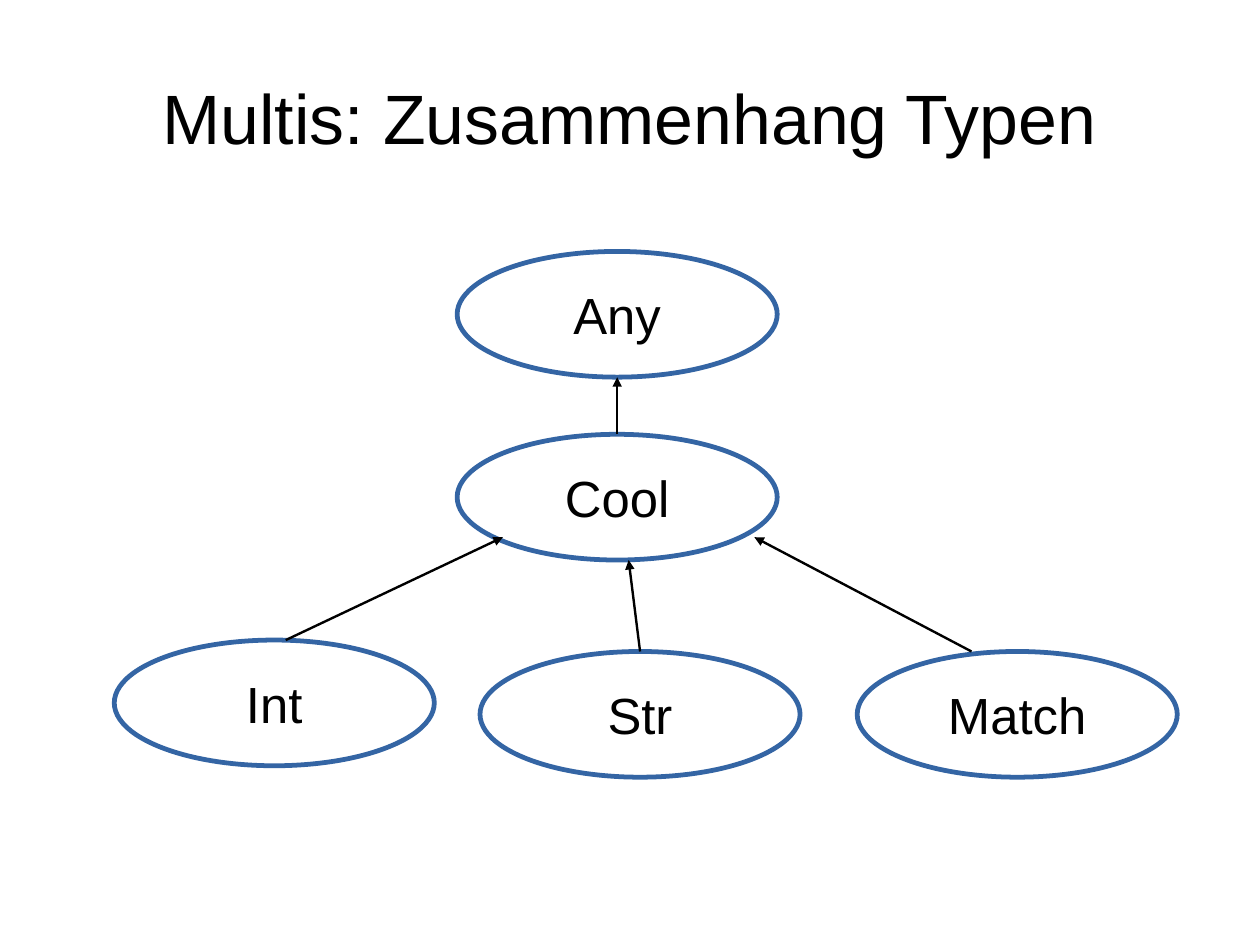
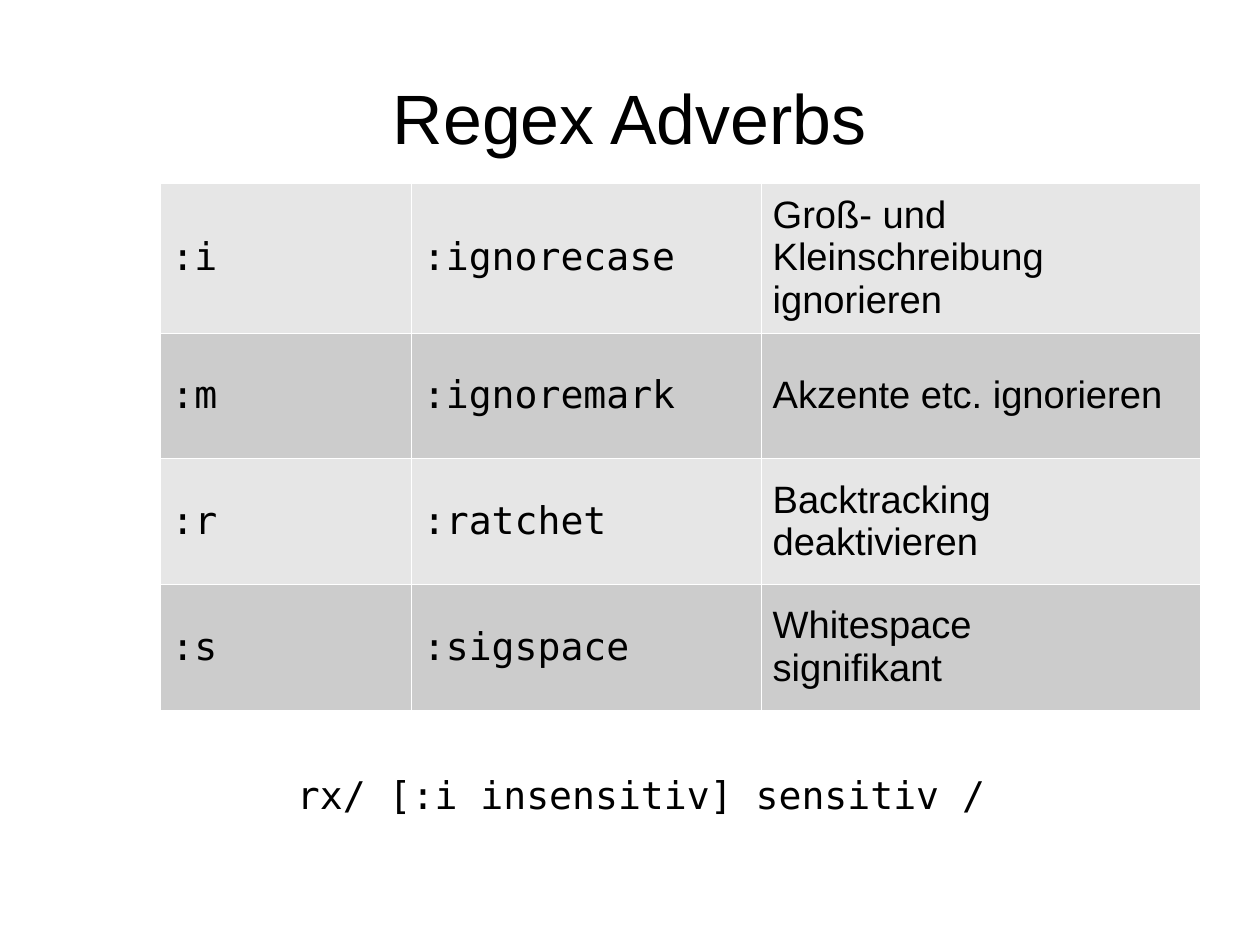
"""Build two slides: a type hierarchy and a table of regex adverbs."""
from pptx import Presentation
from pptx.dml import color
from pptx.enum import shapes, text
from pptx.oxml import parse_xml
from pptx.oxml import ns
from pptx.util import Inches, Pt


class Theme:
    ink = color.RGBColor(0x00, 0x00, 0x00)
    paper = color.RGBColor(0xFF, 0xFF, 0xFF)
    outline = color.RGBColor(0x34, 0x65, 0xA4)
    bands = (color.RGBColor(0xE6, 0xE6, 0xE6), color.RGBColor(0xCC, 0xCC, 0xCC))
    sans, mono = "Arial", "DejaVu Sans Mono"
    title_size, node_size, body_size = Pt(44), Pt(32), Pt(24)
    outline_width, arrow_width, border_width = Pt(3), Pt(1.5), Pt(0.06)


def write(frame, lines, size, face=Theme.sans, align=text.PP_ALIGN.LEFT):
    frame.text = lines
    for para in frame.paragraphs:
        para.alignment = align
        para.font.size, para.font.name = size, face
        para.font.color.rgb = Theme.ink


def add_page(title):
    page = deck.slides.add_slide(deck.slide_layouts[6])
    box = page.shapes.add_textbox(Inches(0.55), Inches(0.33), Inches(9.92), Inches(1.38))
    frame = box.text_frame
    frame.word_wrap = True
    frame.vertical_anchor = text.MSO_ANCHOR.MIDDLE
    frame.margin_left = frame.margin_right = frame.margin_top = frame.margin_bottom = 0
    write(frame, title, Theme.title_size, align=text.PP_ALIGN.CENTER)
    return page


deck = Presentation()
deck.slide_width = Inches(28 / 2.54)
deck.slide_height = Inches(21 / 2.54)

page = add_page("Multis: Zusammenhang Typen")
types = {"Any": (4, 2.2), "Cool": (4, 3.8), "Int": (1, 5.6), "Str": (4.2, 5.7), "Match": (7.5, 5.7)}
for name, (left, top) in types.items():
    node = page.shapes.add_shape(
        shapes.MSO_SHAPE.OVAL, Inches(left), Inches(top), Inches(2.8), Inches(1.1))
    node.shadow.inherit = False
    node.fill.solid()
    node.fill.fore_color.rgb = Theme.paper
    node.line.color.rgb = Theme.outline
    node.line.width = Theme.outline_width
    frame = node.text_frame
    frame.word_wrap = False
    frame.vertical_anchor = text.MSO_ANCHOR.MIDDLE
    frame.margin_left = frame.margin_right = Inches(0.12)
    frame.margin_top = frame.margin_bottom = Inches(0.07)
    write(frame, name, Theme.node_size, align=text.PP_ALIGN.CENTER)

arrows = [(5.4, 3.8, 5.4, 3.3), (2.5, 5.6, 4.4, 4.7), (5.6, 5.7, 5.5, 4.9), (8.5, 5.7, 6.6, 4.7)]
for ends in arrows:
    arrow = page.shapes.add_connector(shapes.MSO_CONNECTOR.STRAIGHT, *map(Inches, ends))
    arrow.line.color.rgb = Theme.ink
    arrow.line.width = Theme.arrow_width
    arrow.line._get_or_add_ln().append(
        parse_xml(f'<a:tailEnd {ns.nsdecls("a")} type="triangle"/>'))
    arrow._element.spPr.append(parse_xml(f'<a:effectLst {ns.nsdecls("a")}/>'))

page = add_page("Regex Adverbs")
adverbs = [
    (":i", ":ignorecase", "Groß- und Kleinschreibung ignorieren"),
    (":m", ":ignoremark", "Akzente etc. ignorieren"),
    (":r", ":ratchet", "Backtracking deaktivieren"),
    (":s", ":sigspace", "Whitespace\nsignifikant"),
]
table = page.shapes.add_table(
    len(adverbs), 3, Inches(1.4), Inches(1.6), Inches(9.1), Inches(4.6)).table
table.first_row = table.horz_banding = False
for column, width in zip(table.columns, (2.2, 3.06, 3.84)):
    column.width = Inches(width)
for index, adverb in enumerate(adverbs):
    table.rows[index].height = Inches(1.1 if index else 1.31)
    for cell, words, face in zip(
            table.rows[index].cells, adverb, (Theme.mono, Theme.mono, Theme.sans)):
        write(cell.text_frame, words, Theme.body_size, face)
        cell.vertical_anchor = text.MSO_ANCHOR.MIDDLE
        for side in ("lnL", "lnR", "lnT", "lnB"):
            cell._tc.get_or_add_tcPr().append(parse_xml(
                f'<a:{side} {ns.nsdecls("a")} w="{Theme.border_width}"><a:solidFill>'
                f'<a:srgbClr val="{Theme.paper}"/></a:solidFill></a:{side}>'))
        cell.fill.solid()
        cell.fill.fore_color.rgb = Theme.bands[index % 2]

example = page.shapes.add_textbox(Inches(2.5), Inches(6.7), Inches(6.5), Inches(0.49))
example.text_frame.word_wrap = True
write(example.text_frame, "rx/ [:i insensitiv] sensitiv /", Theme.body_size, Theme.mono)

deck.save("out.pptx")
